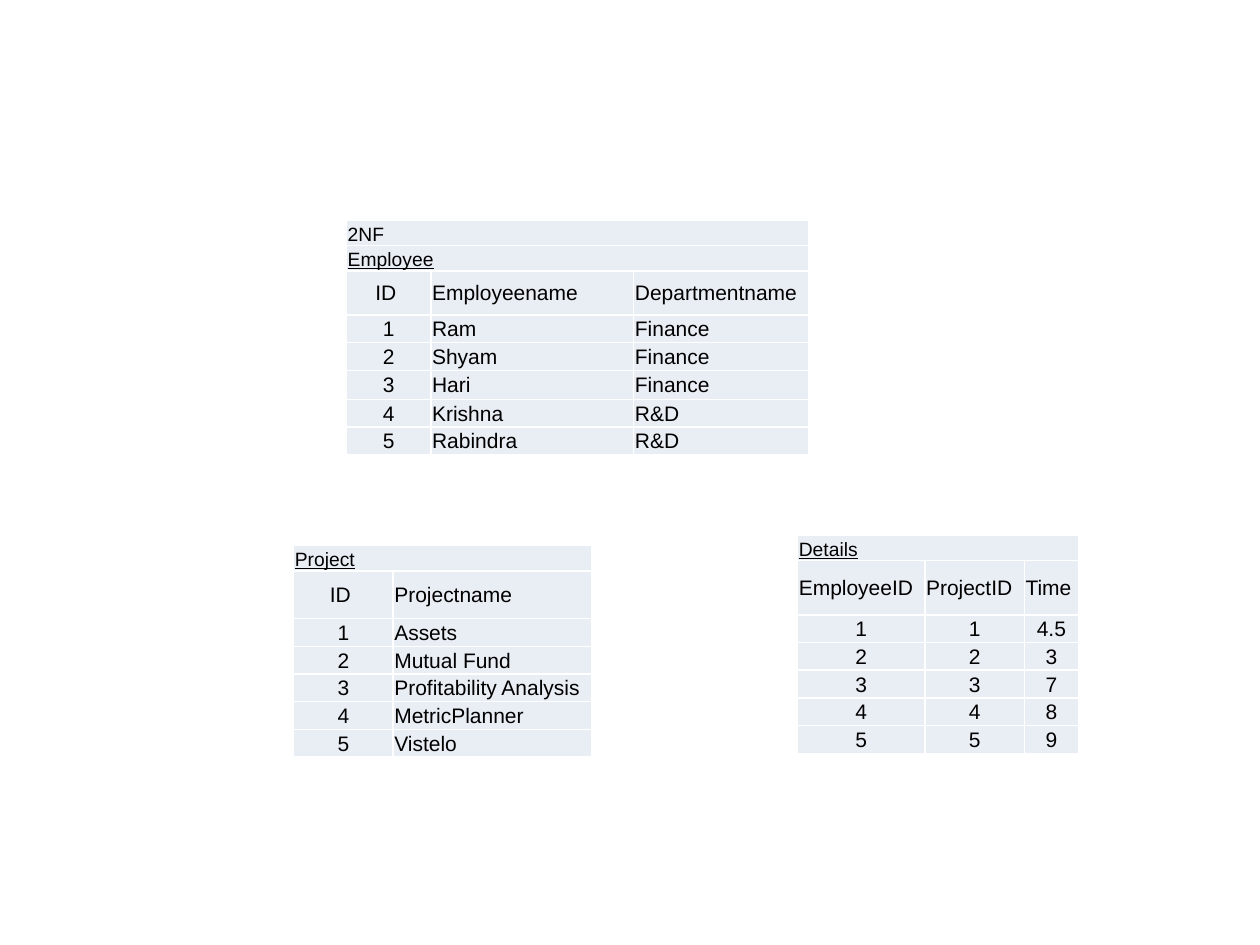
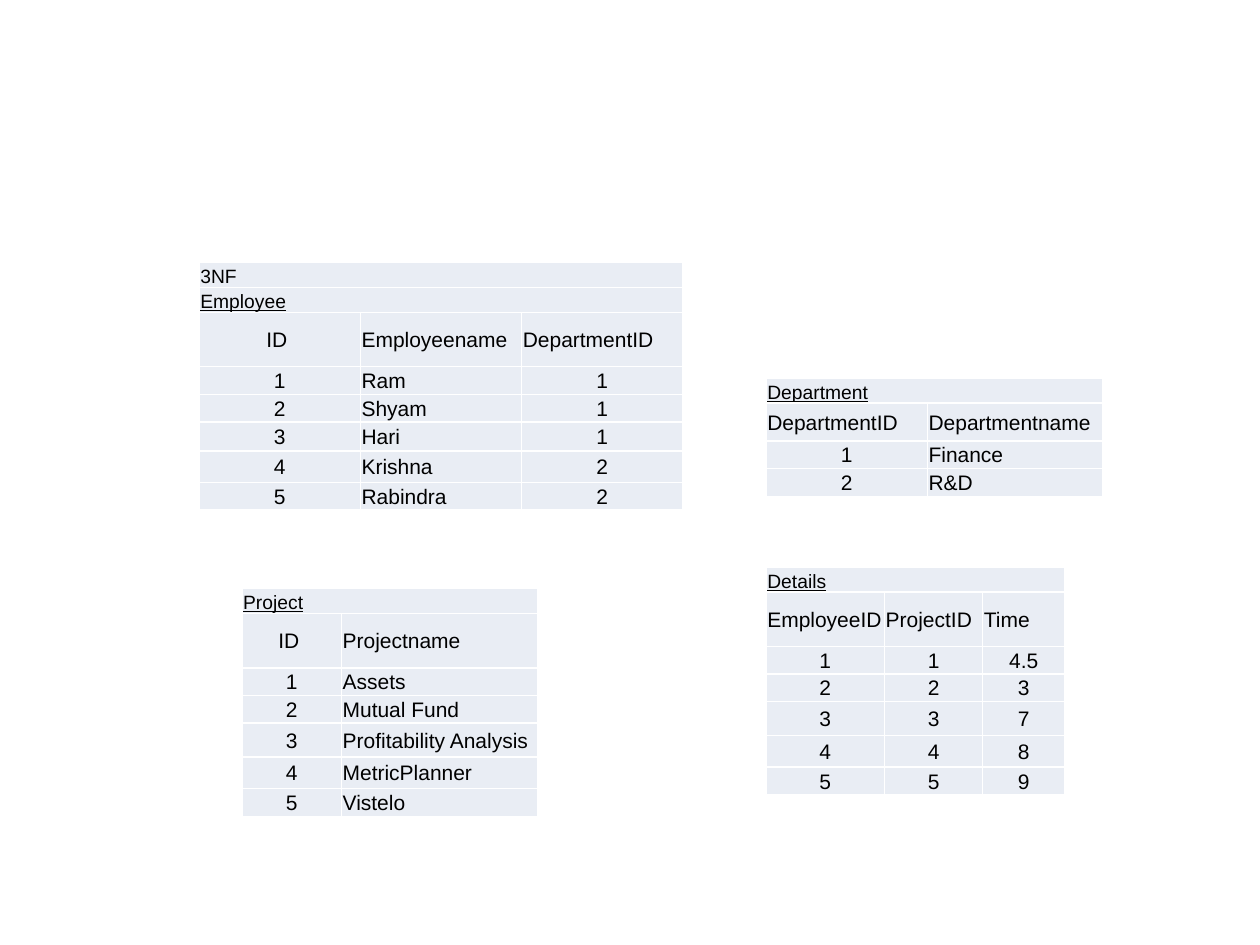
from lxml import etree
from pptx import Presentation
from pptx.dml.color import RGBColor
from pptx.enum.text import MSO_ANCHOR, PP_ALIGN
from pptx.oxml.ns import qn
from pptx.util import Inches, Pt

CENTER, LEFT = PP_ALIGN.CENTER, PP_ALIGN.LEFT
BOTTOM, MIDDLE = MSO_ANCHOR.BOTTOM, MSO_ANCHOR.MIDDLE
COLORS = {"cell": "E9EDF4", "border": "FFFFFF", "text": "000000"}
FONT = "Arial"
CAPTION_SIZE, BODY_SIZE = 11, 12
CAPTION_H, ROW_H = 0.2, 0.22
BORDER_PT = 1

# Content: the records behind both normal forms
NAMES = ["Ram", "Shyam", "Hari", "Krishna", "Rabindra"]
DEPARTMENTS = ["Finance", "R&D"]
EMPLOYEE_DEPARTMENTS = [1, 1, 1, 2, 2]
PROJECTS = ["Assets", "Mutual Fund", "Profitability Analysis",
            "MetricPlanner", "Vistelo"]
TIMES = ["4.5", "3", "7", "8", "9"]


def numbered(*columns):
    """Rows of the given columns, led by a running number."""
    return [(i, *row) for i, row in enumerate(zip(*columns), 1)]


EMPLOYEES_2NF = numbered(NAMES, [DEPARTMENTS[d - 1] for d in EMPLOYEE_DEPARTMENTS])
EMPLOYEES_3NF = numbered(NAMES, EMPLOYEE_DEPARTMENTS)
PROJECT_ROWS = numbered(PROJECTS)
DETAIL_ROWS = numbered(range(1, 6), TIMES)
PROJECT_HEAD = ("ID ", "Projectname")
DETAIL_HEAD = ("EmployeeID", "ProjectID", "Time")

# "taller" maps a record's index to its height where it exceeds ROW_H
SLIDES = [
    [
        dict(captions=["2NF", "Employee"], rows=EMPLOYEES_2NF,
             head=("ID ", "Employeename", "Departmentname"),
             at=(2.75, 1.75), cols=(0.67, 1.61, 1.39), head_h=0.35,
             taller={2: 0.23}),
        dict(captions=["Project"], head=PROJECT_HEAD, rows=PROJECT_ROWS,
             at=(2.33, 4.33), cols=(0.79, 1.58), head_h=0.38, taller={}),
        dict(captions=["Details"], head=DETAIL_HEAD, rows=DETAIL_ROWS,
             at=(6.33, 4.25), cols=(1.01, 0.79, 0.43), head_h=0.43, taller={}),
    ],
    [
        dict(captions=["3NF", "Employee"], rows=EMPLOYEES_3NF,
             head=("ID ", "Employeename", "DepartmentID"),
             at=(1.58, 2.08), cols=(1.28,) * 3, head_h=0.43,
             taller={2: 0.23, 3: 0.25}),
        dict(captions=["Department"], rows=numbered(DEPARTMENTS),
             head=("DepartmentID", "Departmentname"),
             at=(6.08, 3), cols=(1.28, 1.39), head_h=0.3, taller={}),
        dict(captions=["Project"], head=PROJECT_HEAD, rows=PROJECT_ROWS,
             at=(1.92, 4.67), cols=(0.79, 1.56), head_h=0.43,
             taller={2: 0.27, 3: 0.25}),
        dict(captions=["Details"], head=DETAIL_HEAD, rows=DETAIL_ROWS,
             at=(6.08, 4.5), cols=(0.94, 0.78, 0.65), head_h=0.43,
             taller={2: 0.27, 3: 0.25}),
    ],
]


def style_cell(cell):
    """Shared margins, white borders and pale fill."""
    cell.margin_left = cell.margin_right = cell.margin_top = Inches(0.01)
    cell.margin_bottom = 0
    tc_pr = cell._tc.get_or_add_tcPr()
    for side in ("lnL", "lnR", "lnT", "lnB"):
        ln = etree.SubElement(tc_pr, qn("a:" + side), w=str(Pt(BORDER_PT)))
        fill = etree.SubElement(ln, qn("a:solidFill"))
        etree.SubElement(fill, qn("a:srgbClr"), val=COLORS["border"])
    cell.fill.solid()
    cell.fill.fore_color.rgb = RGBColor.from_string(COLORS["cell"])


def write_cell(cell, text, size, align, anchor, underline=False):
    cell.vertical_anchor = anchor
    p = cell.text_frame.paragraphs[0]
    p.text = text
    p.alignment = align
    font = p.runs[0].font
    font.name, font.size = FONT, Pt(size)
    font.bold, font.underline = False, underline
    font.color.rgb = RGBColor.from_string(COLORS["text"])


def add_relation(s, captions, head, rows, at, cols, head_h, taller):
    """One relation: merged captions, field names, then records."""
    heights = [CAPTION_H] * len(captions) + [head_h]
    heights += [taller.get(i, ROW_H) for i in range(len(rows))]
    box = [Inches(v) for v in (*at, sum(cols), sum(heights))]
    table = s.shapes.add_table(len(heights), len(cols), *box).table
    table.first_row = table.horz_banding = False
    for column, width in zip(table.columns, cols):
        column.width = Inches(width)
    for row, height in zip(table.rows, heights):
        row.height = Inches(height)
    for cell in table.iter_cells():
        style_cell(cell)

    # Captions: the relation's name is underlined, the normal form is not
    for r, caption in enumerate(captions):
        cell = table.cell(r, 0)
        cell.merge(table.cell(r, len(cols) - 1))
        write_cell(cell, caption, CAPTION_SIZE, LEFT, BOTTOM,
                   underline=caption == captions[-1])

    # Field names and records: numbers and the plain ID heading are centred
    for r, record in enumerate([head, *rows], len(captions)):
        for c, value in enumerate(record):
            text = str(value)
            centred = text[0].isdigit() or text == "ID "
            write_cell(table.cell(r, c), text, BODY_SIZE,
                       CENTER if centred else LEFT, MIDDLE)


def main():
    prs = Presentation()
    prs.slide_width, prs.slide_height = Inches(10), Inches(7.5)
    blank = prs.slide_layouts[6]
    for relations in SLIDES:
        s = prs.slides.add_slide(blank)
        for relation in relations:
            add_relation(s, **relation)
    prs.save("out.pptx")


if __name__ == "__main__":
    main()
